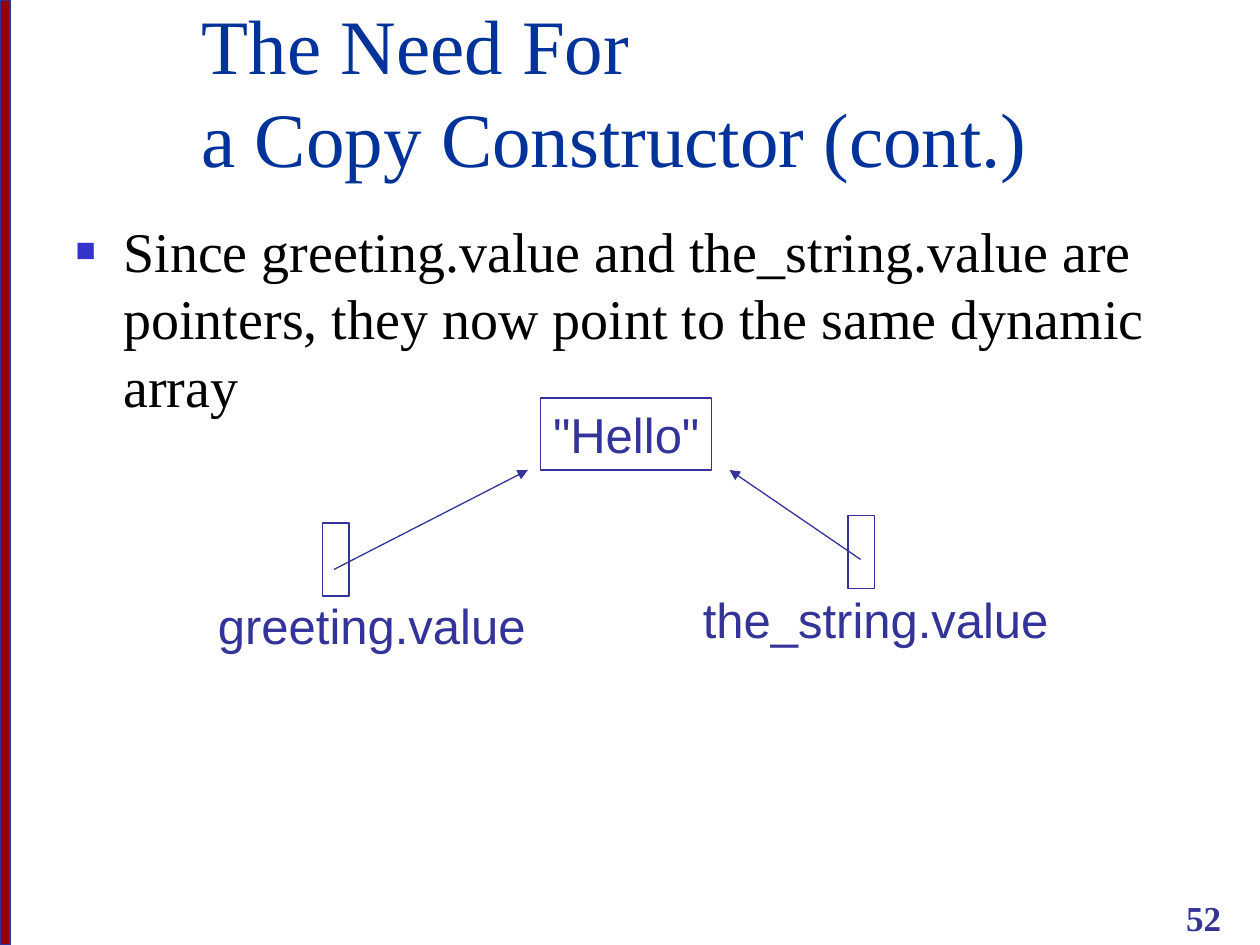
from lxml import etree
from pptx import Presentation
from pptx.dml.color import RGBColor
from pptx.enum.shapes import MSO_CONNECTOR, MSO_SHAPE
from pptx.enum.text import MSO_ANCHOR, MSO_AUTO_SIZE, PP_ALIGN
from pptx.oxml.ns import qn
from pptx.util import Inches, Pt

RECT = MSO_SHAPE.RECTANGLE
STRAIGHT = MSO_CONNECTOR.STRAIGHT
TOP, BOTTOM = MSO_ANCHOR.TOP, MSO_ANCHOR.BOTTOM
LEFT, CENTER, RIGHT = PP_ALIGN.LEFT, PP_ALIGN.CENTER, PP_ALIGN.RIGHT
NO_FIT = MSO_AUTO_SIZE.NONE
SERIF, SANS = "Times New Roman", "Arial"

COLORS = {
    "title": "003399",
    "body": "000000",
    "bullet": "3333CC",
    "diagram": "333399",
    "stripe": "990000",
}


def color(name):
    return RGBColor.from_string(COLORS[name])


def inches(*values):
    return [Inches(v) for v in values]


def write(sp, text, size, font, col, align=LEFT, anchor=TOP, wrap=True, bold=False):
    tf = sp.text_frame
    tf.text = text
    tf.auto_size = NO_FIT
    tf.word_wrap = wrap
    tf.vertical_anchor = anchor
    p = tf.paragraphs[0]
    p.alignment = align
    p.space_before = Pt(0)
    for r in p.runs:
        r.font.size = Pt(size)
        r.font.name = font
        r.font.bold = bold
        r.font.color.rgb = color(col)
    return p


def place(sp, *box):
    sp.left, sp.top, sp.width, sp.height = inches(*box)


def add_bullet(p, char, col, percent, indent):
    pPr = p._p.get_or_add_pPr()
    pPr.set("marL", str(Inches(indent)))
    pPr.set("indent", str(-Inches(indent)))
    clr = etree.SubElement(pPr, qn("a:buClr"))
    etree.SubElement(clr, qn("a:srgbClr"), val=COLORS[col])
    etree.SubElement(pPr, qn("a:buSzPct"), val=str(percent * 1000))
    etree.SubElement(pPr, qn("a:buFont"), typeface=SANS)
    etree.SubElement(pPr, qn("a:buChar"), char=char)


def add_box(s, *box, fill=None):
    sp = s.shapes.add_shape(RECT, *inches(*box))
    sp.shadow.inherit = False
    if fill:
        sp.fill.solid()
        sp.fill.fore_color.rgb = color(fill)
    else:
        sp.fill.background()
    sp.line.color.rgb = color("diagram")
    sp.line.width = Pt(0.75)
    return sp


def add_label(s, text, *box):
    sp = s.shapes.add_textbox(*inches(*box))
    write(sp, text, 28, SANS, "diagram", CENTER, wrap=False)


def add_arrow(s, start, end):
    cxn = s.shapes.add_connector(STRAIGHT, *inches(*start, *end))
    cxn.line.color.rgb = color("diagram")
    cxn.line.width = Pt(0.75)
    etree.SubElement(cxn.line._get_or_add_ln(), qn("a:tailEnd"), type="triangle")
    etree.SubElement(cxn._element.spPr, qn("a:effectLst"))


def main():
    prs = Presentation()
    prs.slide_width, prs.slide_height = inches(10, 7.5)
    s = prs.slides.add_slide(prs.slide_layouts[1])

    # Stripe on the left edge
    add_box(s, 0, 0, 0.08, 7.5, fill="stripe")

    # Title and bullet
    title, body = s.placeholders
    place(title, 1.5, 0.08, 8.42, 1.42)
    write(title, "The Need For\va Copy Constructor (cont.)", 44, SERIF, "title",
          anchor=BOTTOM)
    place(body, 0.5, 1.67, 9.24, 5)
    p = write(body, "Since greeting.value and the_string.value are\v"
              "pointers, they now point to the same dynamic\varray",
              32, SERIF, "body")
    add_bullet(p, "■", "bullet", 60, 0.38)

    # Two pointers to one dynamic array
    add_label(s, "greeting.value", 1.63, 4.68, 2.64, 0.57)
    add_label(s, "the_string.value", 5.48, 4.63, 2.94, 0.57)
    add_box(s, 2.56, 4.15, 0.21, 0.58)
    add_box(s, 6.73, 4.09, 0.21, 0.58)
    array = add_box(s, 4.29, 3.16, 1.36, 0.57)
    write(array, '"Hello"', 28, SANS, "diagram", CENTER, wrap=False)
    add_arrow(s, (2.65, 4.52), (4.19, 3.73))
    add_arrow(s, (6.83, 4.44), (5.79, 3.73))

    # Page number
    number = s.shapes.add_textbox(*inches(7.71, 7, 2.08, 0.5))
    write(number, "52", 20, SERIF, "diagram", RIGHT, BOTTOM, bold=True)

    prs.save("out.pptx")


if __name__ == "__main__":
    main()
